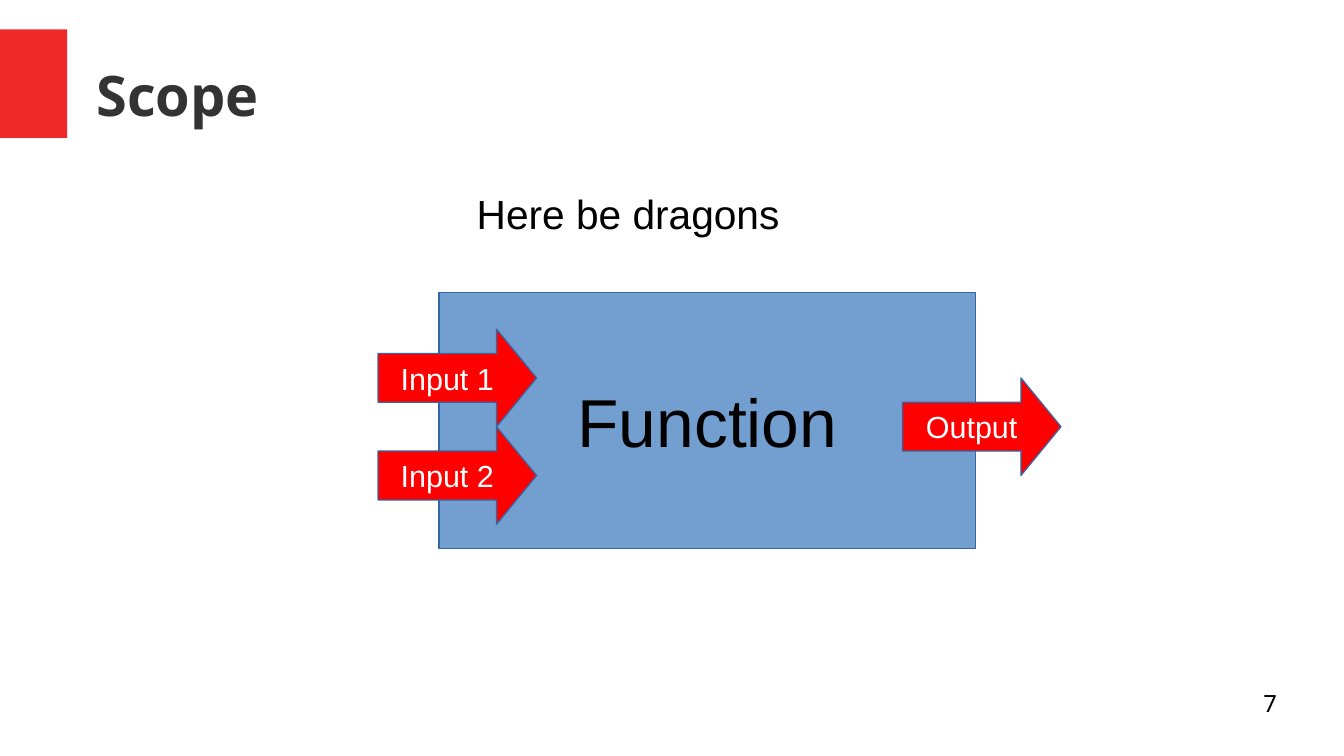
from dataclasses import dataclass

from pptx import Presentation
from pptx.dml.color import RGBColor
from pptx.enum.shapes import MSO_SHAPE
from pptx.enum.text import MSO_ANCHOR, PP_ALIGN
from pptx.util import Pt

RECT, ARROW = MSO_SHAPE.RECTANGLE, MSO_SHAPE.RIGHT_ARROW
TOP, MIDDLE = MSO_ANCHOR.TOP, MSO_ANCHOR.MIDDLE
LEFT, CENTER, RIGHT = PP_ALIGN.LEFT, PP_ALIGN.CENTER, PP_ALIGN.RIGHT


@dataclass(frozen=True)
class Theme:
    # Colours
    accent: str = "EF2929"
    title: str = "333333"
    box: str = "729FCF"
    edge: str = "3465A4"
    arrow: str = "FF0000"
    dark: str = "000000"
    light: str = "FFFFFF"
    # Fonts and type sizes
    head: str = "Noto Sans"
    body: str = "Arial"
    title_size: int = 33
    box_size: int = 40
    note_size: int = 24
    label_size: int = 18
    page_size: int = 14


THEME = Theme()


def set_text(shape, text, size, color, font=THEME.body, align=CENTER,
             anchor=MIDDLE, bold=False, wrap=True, inset=(7.2, 3.6)):
    frame = shape.text_frame
    frame.text = text
    frame.word_wrap = wrap
    frame.vertical_anchor = anchor
    frame.margin_left = frame.margin_right = Pt(inset[0])
    frame.margin_top = frame.margin_bottom = Pt(inset[1])
    line = frame.paragraphs[0]
    line.alignment = align
    style = line.runs[0].font
    style.name, style.size, style.bold = font, Pt(size), bold
    style.color.rgb = RGBColor.from_string(color)


def add_block(slide, kind, area, fill, edge=None):
    shape = slide.shapes.add_shape(kind, *map(Pt, area))
    shape.shadow.inherit = False
    shape.fill.solid()
    shape.fill.fore_color.rgb = RGBColor.from_string(fill)
    if edge:
        shape.line.color.rgb = RGBColor.from_string(edge)
        shape.line.width = Pt(0)
    else:
        shape.line.fill.background()
    return shape


def add_label(slide, area, text, size, color, **style):
    box = slide.shapes.add_textbox(*map(Pt, area))
    set_text(box, text, size, color, **style)


def add_arrow(slide, left, top, text):
    area = (left, top, 93.6, 57.6)
    arrow = add_block(slide, ARROW, area, THEME.arrow, THEME.edge)
    arrow.adjustments[0] = 0.5
    arrow.adjustments[1] = 0.41
    set_text(arrow, text, THEME.label_size, THEME.light, wrap=False)


def main():
    deck = Presentation()
    deck.slide_width, deck.slide_height = Pt(793.44), Pt(446.4)
    slide = deck.slides.add_slide(deck.slide_layouts[6])

    # Title with its accent
    add_block(slide, RECT, (0, 17.28, 39.6, 64.08), THEME.accent)
    add_label(slide, (56.88, 18, 696.96, 74.88), "Scope", THEME.title_size,
              THEME.title, font=THEME.head, align=LEFT, bold=True,
              inset=(0, 0))

    # Function box
    box = add_block(slide, RECT, (259.2, 172.8, 316.8, 151.2),
                    THEME.box, THEME.edge)
    set_text(box, "Function", THEME.box_size, THEME.dark, wrap=False)

    # Inputs and output
    for left, top, text in ((223.2, 194.4, "Input 1"),
                            (223.2, 252, "Input 2"),
                            (532.8, 223.2, "Output")):
        add_arrow(slide, left, top, text)

    # Note and page number
    add_label(slide, (237.6, 108, 266.4, 33.84), "Here be dragons",
              THEME.note_size, THEME.dark, anchor=TOP)
    add_label(slide, (568.8, 406.8, 185.04, 30.96), "7", THEME.page_size,
              THEME.dark, font=THEME.head, align=RIGHT, anchor=TOP,
              inset=(0, 0))

    deck.save("out.pptx")


if __name__ == "__main__":
    main()
